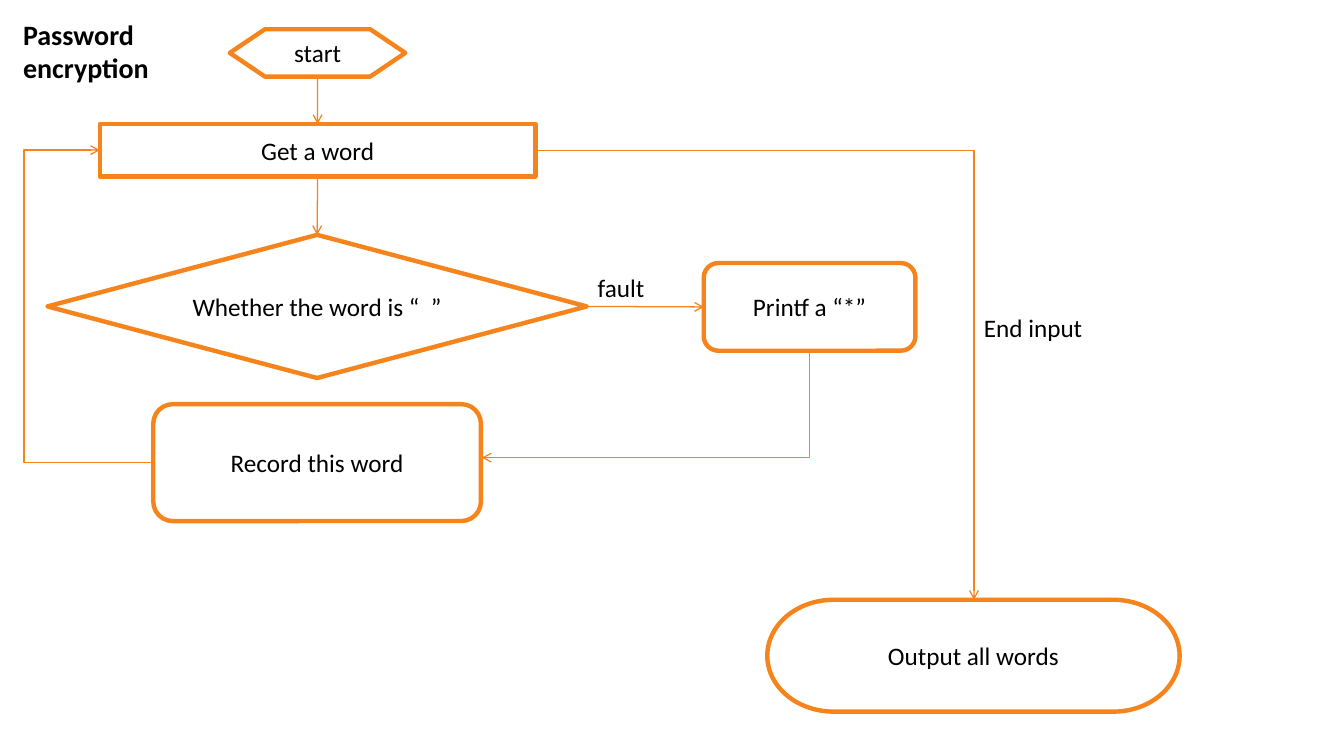
from lxml import etree
from pptx import Presentation
from pptx.dml.color import RGBColor
from pptx.enum.shapes import MSO_CONNECTOR, MSO_SHAPE
from pptx.enum.text import MSO_ANCHOR, MSO_AUTO_SIZE, PP_ALIGN
from pptx.oxml.ns import qn
from pptx.util import Inches, Pt

STRAIGHT, ELBOW = MSO_CONNECTOR.STRAIGHT, MSO_CONNECTOR.ELBOW
RECTANGLE, ROUNDED = MSO_SHAPE.RECTANGLE, MSO_SHAPE.ROUNDED_RECTANGLE
DECISION = MSO_SHAPE.FLOWCHART_DECISION
PREPARATION = MSO_SHAPE.FLOWCHART_PREPARATION
TERMINATOR = MSO_SHAPE.FLOWCHART_TERMINATOR
MIDDLE, CENTER = MSO_ANCHOR.MIDDLE, PP_ALIGN.CENTER
FIT_TEXT = MSO_AUTO_SIZE.SHAPE_TO_FIT_TEXT

ORANGE, WHITE, BLACK = "F5841C", "FFFFFF", "000000"
TOP, LEFT, BOTTOM, RIGHT = range(4)  # connection sites of every step


def color(value):
    return RGBColor.from_string(value)


def add_text(frame, text, size=18, bold=False):
    frame.word_wrap = True
    para = frame.paragraphs[0]
    span = para.add_run()
    span.text = text
    span.font.name = "Calibri"
    span.font.size = Pt(size)
    span.font.bold = bold
    span.font.color.rgb = color(BLACK)
    return para


def set_line(item, width):
    item.line.color.rgb = color(ORANGE)
    item.line.width = Pt(width)
    outline = item.line._get_or_add_ln()
    etree.SubElement(outline, qn("a:round"))
    return outline


def add_step(page, kind, left, top, width, height, text):
    box = page.shapes.add_shape(
        kind, Inches(left), Inches(top), Inches(width), Inches(height))
    box.shadow.inherit = False
    box.fill.solid()
    box.fill.fore_color.rgb = color(WHITE)
    set_line(box, 3.15)
    box.text_frame.vertical_anchor = MIDDLE
    add_text(box.text_frame, text).alignment = CENTER
    return box


def add_label(page, left, top, width, height, text, **style):
    box = page.shapes.add_textbox(
        Inches(left), Inches(top), Inches(width), Inches(height))
    add_text(box.text_frame, text, **style)
    box.text_frame.auto_size = FIT_TEXT


def add_arrow(page, kind, begin, end):
    arrow = page.shapes.add_connector(
        kind, *(Inches(value) for value in (*begin, *end)))
    outline = set_line(arrow, 0.9)
    etree.SubElement(outline, qn("a:tailEnd"), type="arrow")
    etree.SubElement(arrow._element.spPr, qn("a:effectLst"))
    return arrow


def join_steps(page, first, first_site, second, second_site):
    arrow = add_arrow(page, STRAIGHT, (0, 0), (1, 1))
    arrow.begin_connect(first, first_site)
    arrow.end_connect(second, second_site)


def add_corner(page, begin, end, down_first=False):
    """Arrow with one bend; down_first runs down and then to the left."""
    (x1, y1), (x2, y2) = begin, end
    if down_first:
        # The frame is laid out before a quarter turn about its centre
        middle_x, middle_y = (x1 + x2) / 2, (y1 + y2) / 2
        half_w, half_h = abs(y2 - y1) / 2, abs(x2 - x1) / 2
        begin = middle_x - half_w, middle_y - half_h
        end = middle_x + half_w, middle_y + half_h
    properties = add_arrow(page, ELBOW, begin, end)._element.spPr
    properties.find(qn("a:prstGeom")).set("prst", "bentConnector2")
    if down_first:
        properties.find(qn("a:xfrm")).set("rot", str(90 * 60000))


def add_loop(page, begin, end, bend):
    """Arrow with two bends; bend is the share of the width at the turn."""
    properties = add_arrow(page, ELBOW, begin, end)._element.spPr
    guides = properties.find(qn("a:prstGeom")).get_or_add_avLst()
    etree.SubElement(guides, qn("a:gd"), name="adj1",
                     fmla=f"val {round(bend * 100000)}")


def main():
    deck = Presentation()
    deck.slide_width, deck.slide_height = Inches(13.33), Inches(7.5)
    page = deck.slides.add_slide(deck.slide_layouts[6])

    # Steps
    output = add_step(page, TERMINATOR, 7.61, 5.95, 4.09, 1.11, "Output all words")
    get_word = add_step(page, RECTANGLE, 0.99, 1.23, 4.32, 0.52, "Get a word")
    check = add_step(page, DECISION, 0.47, 2.33, 5.35, 1.42, "Whether the word is “  ”")
    start = add_step(page, PREPARATION, 2.28, 0.29, 1.74, 0.47, "start")
    print_star = add_step(page, ROUNDED, 6.98, 2.61, 2.1, 0.87, "Printf a “*”")
    add_step(page, ROUNDED, 1.52, 4.01, 3.25, 1.16, "Record this word")

    # Straight arrows
    join_steps(page, start, BOTTOM, get_word, TOP)
    join_steps(page, get_word, BOTTOM, check, TOP)
    join_steps(page, check, RIGHT, print_star, LEFT)

    # Bent arrows: star to record, record to next word, last word to output
    add_corner(page, (8.03, 3.47), (4.78, 4.54), down_first=True)
    add_loop(page, (1.52, 4.59), (0.99, 1.49), 2.42)
    add_corner(page, (5.31, 1.49), (9.66, 5.95))

    # Title and arrow labels
    add_label(page, 0.13, 0.12, 1.61, 0.77, "Password encryption", size=20, bold=True)
    add_label(page, 5.83, 2.65, 1.15, 0.4, "fault")
    add_label(page, 9.66, 3.05, 2.99, 0.4, "End input")

    deck.save("out.pptx")


if __name__ == "__main__":
    main()
